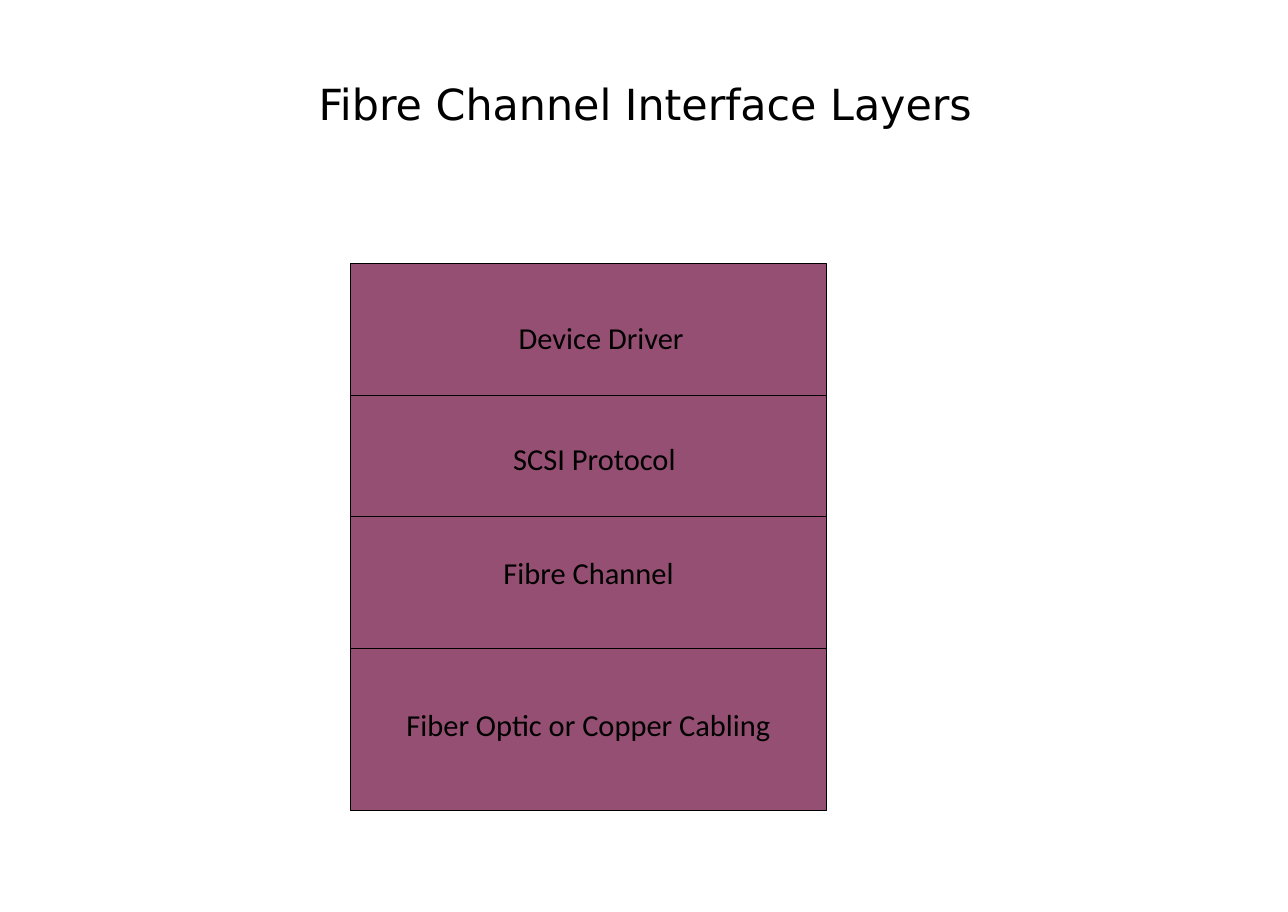
import pptx
import pptx.dml.color
import pptx.enum.shapes
import pptx.enum.text
import pptx.oxml
import pptx.util
from pptx.util import Inches

COLORS = {"background": "FFFFFF", "layer": "954F72", "ink": "000000"}
LINE_WIDTH = pptx.util.Pt(0.75)

# Name, layer height, then label left and top within the layer, and label width
LAYERS = [
    ("Device Driver", 1.2, 1.43, 0.46, 1.93),
    ("SCSI Protocol", 1.1, 1.38, 0.36, 2.02),
    ("Fibre Channel", 1.2, 1.29, 0.29, 2.21),
    ("Fiber Optic or Copper Cabling", 1.47, 0.41, 0.47, 3.95),
]
LABEL_HEIGHT = 0.44


def color(name):
    return pptx.dml.color.RGBColor.from_string(COLORS[name])


def style_line(line):
    line.color.rgb = color("ink")
    line.width = LINE_WIDTH


def style_font(paragraph, name, size):
    paragraph.font.name = name
    paragraph.font.size = pptx.util.Pt(size)
    paragraph.font.color.rgb = color("ink")


def add_title(slide, left, top, width, height):
    title = slide.shapes.title
    title.left, title.top = Inches(left), Inches(top)
    title.width, title.height = Inches(width), Inches(height)
    frame = title.text_frame
    frame.text = "Fibre Channel Interface Layers"
    frame.vertical_anchor = pptx.enum.text.MSO_ANCHOR.MIDDLE
    paragraph = frame.paragraphs[0]
    paragraph.alignment = pptx.enum.text.PP_ALIGN.CENTER
    paragraph.line_spacing = 0.9
    style_font(paragraph, "DejaVu Sans", 28)


def add_divider(slide, left, top, width):
    divider = slide.shapes.add_connector(
        pptx.enum.shapes.MSO_CONNECTOR.STRAIGHT,
        Inches(left), Inches(top), Inches(left + width), Inches(top))
    style_line(divider.line)
    properties = divider._element.spPr
    properties.append(pptx.oxml.parse_xml(
        '<a:effectLst xmlns:a="http://schemas.openxmlformats.org/drawingml/2006/main"/>'))


def add_label(slide, text, left, top, width):
    label = slide.shapes.add_textbox(
        Inches(left), Inches(top), Inches(width), Inches(LABEL_HEIGHT))
    frame = label.text_frame
    frame.word_wrap = True
    frame.auto_size = pptx.enum.text.MSO_AUTO_SIZE.SHAPE_TO_FIT_TEXT
    frame.text = text
    style_font(frame.paragraphs[0], "Calibri", 19.9)


def add_layer_stack(slide, left, top, width):
    """Draw one block, divided into the layers from top to bottom."""
    height = sum(layer[1] for layer in LAYERS)
    block = slide.shapes.add_shape(
        pptx.enum.shapes.MSO_SHAPE.RECTANGLE,
        Inches(left), Inches(top), Inches(width), Inches(height))
    block.shadow.inherit = False
    block.fill.solid()
    block.fill.fore_color.rgb = color("layer")
    style_line(block.line)

    layer_top = top
    for index, (name, layer_height, label_left, label_top, label_width) in enumerate(LAYERS):
        if index > 0:
            add_divider(slide, left, layer_top, width)
        add_label(slide, name, left + label_left, layer_top + label_top, label_width)
        layer_top += layer_height


def main():
    presentation = pptx.Presentation()
    presentation.slide_width = Inches(11.69)
    presentation.slide_height = Inches(8.28)
    slide = presentation.slides.add_slide(presentation.slide_layouts[5])
    slide.background.fill.solid()
    slide.background.fill.fore_color.rgb = color("background")
    add_title(slide, 0.79, 0.12, 10.13, 1.7)
    add_layer_stack(slide, 3.18, 2.39, 4.32)
    presentation.save("out.pptx")


if __name__ == "__main__":
    main()
